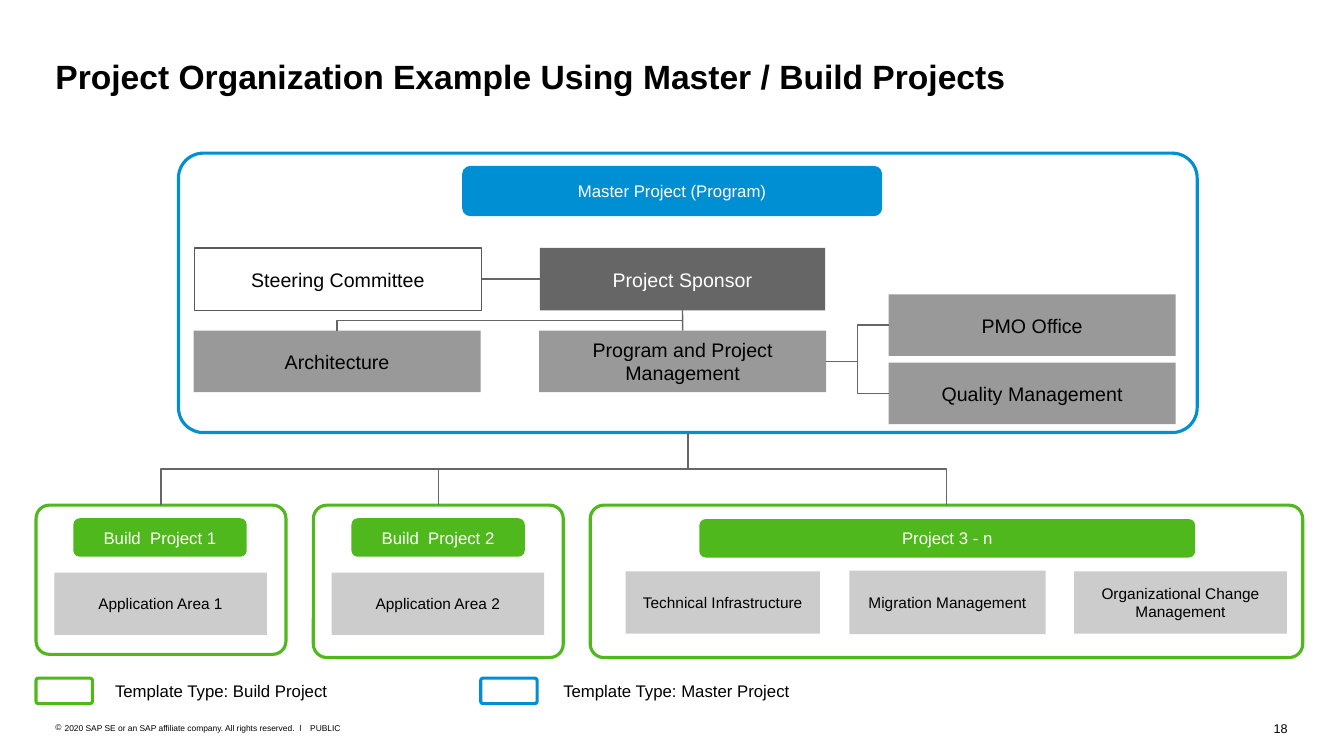
"""Build the slide on project organization with master and build projects."""
from dataclasses import dataclass

from lxml.etree import SubElement
from pptx import Presentation
from pptx.dml.color import RGBColor
from pptx.enum.shapes import MSO_CONNECTOR, MSO_SHAPE
from pptx.enum.text import MSO_ANCHOR, PP_ALIGN
from pptx.oxml.ns import qn
from pptx.util import Cm, Pt


@dataclass(frozen=True)
class Theme:
    font: str = "Arial"
    black: str = "000000"
    white: str = "FFFFFF"
    blue: str = "008FD3"
    green: str = "4FB81C"
    dark: str = "666666"
    middle: str = "999999"
    light: str = "CCCCCC"
    outline: str = "595959"
    title: int = 24
    role: int = 14
    label: int = 12
    area: int = 11
    number: int = 9
    footer: int = 6


theme = Theme()
deck = Presentation()
deck.slide_width, deck.slide_height = Cm(33.88), Cm(19.05)
page = deck.slides.add_slide(deck.slide_layouts[6])


def write(box, text, size, color=theme.black, align=PP_ALIGN.CENTER, inset=0.15, wrap=True):
    frame = box.text_frame
    frame.word_wrap = wrap
    frame.margin_left = frame.margin_right = Cm(inset)
    frame.margin_top = frame.margin_bottom = Cm(inset)
    para = frame.paragraphs[0]
    para.alignment = align
    span = para.add_run()
    span.text = text
    span.font.name, span.font.size = theme.font, Pt(size)
    span.font.color.rgb = RGBColor.from_string(color)
    return span


def add_box(kind, place, fill=None, line=None, weight=0.75):
    box = page.shapes.add_shape(kind, *map(Cm, place))
    box.shadow.inherit = False
    if fill:
        box.fill.solid()
        box.fill.fore_color.rgb = RGBColor.from_string(fill)
    else:
        box.fill.background()
    if line:
        box.line.color.rgb = RGBColor.from_string(line)
        box.line.width = Pt(weight)
    else:
        box.line.fill.background()
    box.text_frame.vertical_anchor = MSO_ANCHOR.MIDDLE
    return box


frames = {}
for name, place, color in [
    ("master", (4.5, 3.86, 25.68, 7.04), theme.blue),
    ("build 1", (0.91, 12.73, 6.3, 3.76), theme.green),
    ("build 2", (7.9, 12.73, 6.3, 3.84), theme.green),
    ("build n", (14.88, 12.73, 17.96, 3.84), theme.green),
    ("build legend", (0.91, 17.09, 1.42, 0.64), theme.green),
    ("master legend", (12.12, 17.09, 1.42, 0.64), theme.blue),
]:
    frames[name] = add_box(MSO_SHAPE.ROUNDED_RECTANGLE, place, line=color, weight=2.25)
    frames[name].adjustments[0] = 0.089

for text, place, color in [
    ("Master Project (Program)", (11.65, 4.18, 10.59, 1.27), theme.blue),
    ("Build  Project 1", (1.85, 13.06, 4.37, 0.97), theme.green),
    ("Build  Project 2", (8.86, 13.06, 4.37, 0.97), theme.green),
    ("Project 3 - n", (17.63, 13.08, 12.5, 0.97), theme.green),
]:
    write(add_box(MSO_SHAPE.ROUNDED_RECTANGLE, place, color), text, theme.label, theme.white)

roles = {}
for text, place, fill, line, color in [
    ("Steering Committee", (4.9, 6.25, 7.24, 1.57), theme.white, theme.outline, theme.black),
    ("Project Sponsor", (13.61, 6.25, 7.19, 1.57), theme.dark, None, theme.white),
    ("Architecture", (4.88, 8.33, 7.24, 1.55), theme.middle, None, theme.black),
    ("Program and Project Management", (13.59, 8.33, 7.24, 1.55), theme.middle, None, theme.black),
    ("PMO Office", (22.4, 7.42, 7.24, 1.55), theme.middle, None, theme.black),
    ("Quality Management", (22.4, 9.14, 7.24, 1.55), theme.middle, None, theme.black),
]:
    roles[text] = add_box(MSO_SHAPE.RECTANGLE, place, fill, line)
    write(roles[text], text, theme.role, color)

for text, place in [
    ("Application Area 1", (1.37, 14.43, 5.36, 1.57)),
    ("Application Area 2", (8.36, 14.43, 5.36, 1.57)),
    ("Technical Infrastructure", (15.77, 14.4, 4.9, 1.57)),
    ("Migration Management", (21.41, 14.38, 4.95, 1.6)),
    ("Organizational Change Management", (27.08, 14.4, 5.36, 1.57)),
]:
    write(add_box(MSO_SHAPE.RECTANGLE, place, theme.light), text, theme.area)

connectors = []
sponsor = roles["Project Sponsor"]
program = roles["Program and Project Management"]
for kind, first, first_side, second, second_side in [
    (MSO_CONNECTOR.STRAIGHT, roles["Steering Committee"], 3, sponsor, 1),
    (MSO_CONNECTOR.STRAIGHT, sponsor, 2, program, 0),
    (MSO_CONNECTOR.ELBOW, program, 3, roles["PMO Office"], 1),
    (MSO_CONNECTOR.ELBOW, program, 3, roles["Quality Management"], 1),
]:
    connector = page.shapes.add_connector(kind, 0, 0, 0, 0)
    connector.begin_connect(first, first_side)
    connector.end_connect(second, second_side)
    connectors.append(connector)

for parent, child in [
    (sponsor, roles["Architecture"]),
    (frames["master"], frames["build 1"]),
    (frames["master"], frames["build 2"]),
    (frames["master"], frames["build n"]),
]:
    start_x, start_y = parent.left + parent.width // 2, parent.top + parent.height
    end_x, end_y = child.left + child.width // 2, child.top
    middle_x, middle_y = (start_x + end_x) // 2, (start_y + end_y) // 2
    half_span, half_drop = abs(end_x - start_x) // 2, (end_y - start_y) // 2
    side = 1 if end_x > start_x else -1
    connector = page.shapes.add_connector(
        MSO_CONNECTOR.ELBOW,
        middle_x + side * half_drop, middle_y - half_span,
        middle_x - side * half_drop, middle_y + half_span,
    )
    connector._element.spPr.xfrm.rot = 270 if side > 0 else 90
    connectors.append(connector)

for connector in connectors:
    connector.line.color.rgb = RGBColor.from_string(theme.dark)
    connector.line.width = Pt(1)
    SubElement(connector._element.spPr, qn("a:effectLst"))

labels = {}
for text, place, size, align, wrap in [
    ("Project Organization Example Using Master / Build Projects",
     (1.4, 1.4, 31.06, 1.02), theme.title, PP_ALIGN.LEFT, True),
    ("Template Type: Build Project", (2.9, 17.15, 5.49, 0.51), theme.label, PP_ALIGN.LEFT, False),
    ("Template Type: Master Project", (14.2, 17.15, 5.97, 0.51), theme.label, PP_ALIGN.LEFT, False),
    ("2020 SAP SE or an SAP affiliate company. All rights reserved.  ǀ",
     (1.4, 18.21, 6.3, 0.25), theme.footer, PP_ALIGN.LEFT, True),
    ("PUBLIC", (7.82, 18.21, 0.79, 0.25), theme.footer, PP_ALIGN.LEFT, False),
    ("18", (32.08, 18.16, 0.38, 0.38), theme.number, PP_ALIGN.RIGHT, False),
]:
    box = page.shapes.add_textbox(*map(Cm, place))
    span = write(box, text, size, align=align, inset=0, wrap=wrap)
    span.font.bold = size == theme.title
    labels[text[:4]] = box

copyright_format = labels["2020"].text_frame.paragraphs[0]._p.get_or_add_pPr()
copyright_format.set("marL", str(Cm(0.23)))
copyright_format.set("indent", str(-Cm(0.23)))
bullet_color = SubElement(copyright_format, qn("a:buClr"))
SubElement(bullet_color, qn("a:srgbClr"), val=theme.black)
SubElement(copyright_format, qn("a:buFont"), typeface=theme.font)
SubElement(copyright_format, qn("a:buChar"), char="©")

deck.save("out.pptx")
